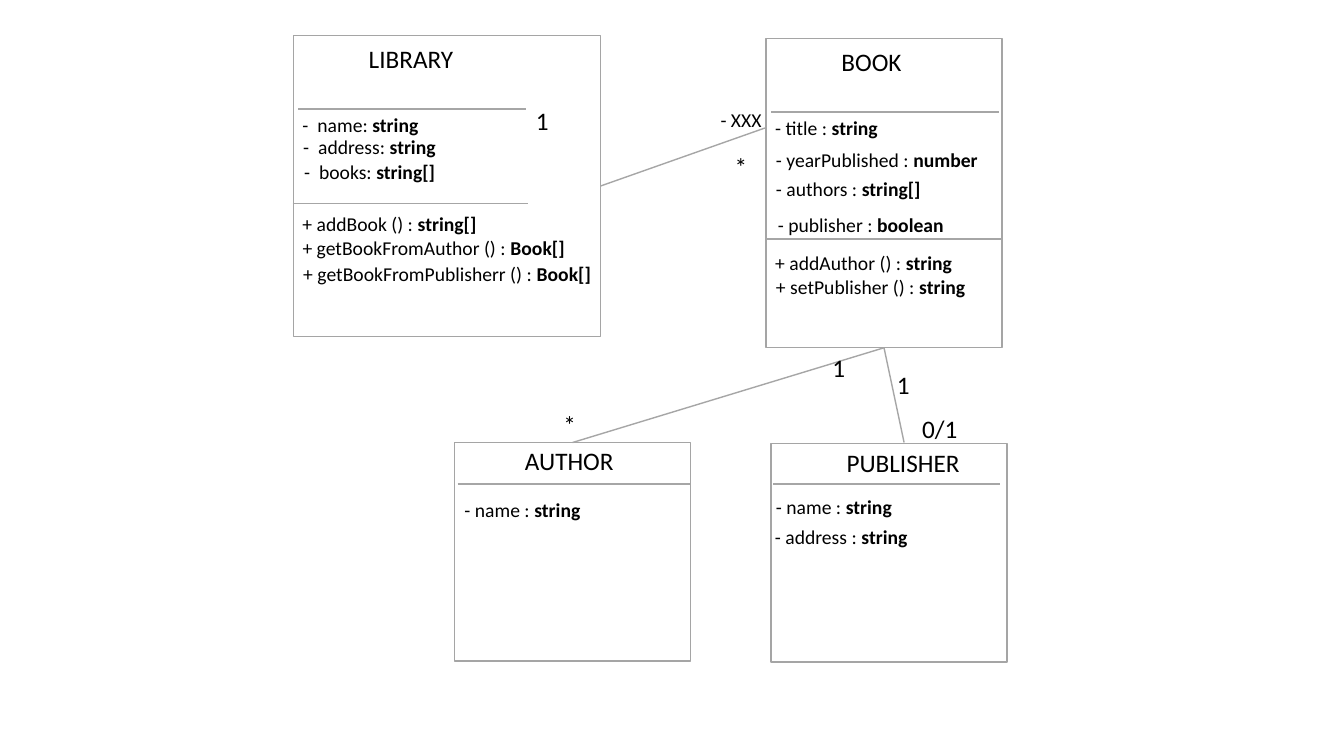
from dataclasses import dataclass

from lxml.etree import SubElement
from pptx import Presentation
from pptx.dml.color import RGBColor
from pptx.enum.shapes import MSO_CONNECTOR, MSO_SHAPE
from pptx.enum.text import MSO_AUTO_SIZE, PP_ALIGN
from pptx.oxml.ns import qn
from pptx.util import Pt

WHITE = RGBColor(0xFF, 0xFF, 0xFF)
BLACK = RGBColor(0, 0, 0)
BORDER = RGBColor(0xA5, 0xA5, 0xA5)
RULE = RGBColor(0xA6, 0xA6, 0xA6)
FONT = "Calibri"
TITLE_SIZE, MEMBER_SIZE = 18, 14
TOP, LEFT, BOTTOM, RIGHT = range(4)  # connection sites of a rectangle


@dataclass
class UmlClass:
    """One class; offsets of its parts count from the top left of its box."""
    box: tuple       # left, top, width, height
    title: tuple     # text, x, y, width
    dividers: list   # x, y, length
    members: list    # x, y, width, name, type
    wide_dash: bool = False  # wider gap after the dash of attributes


LIBRARY = UmlClass(
    (209.5, 25.2, 219.6, 215.3), ("LIBRARY", 46.8, 2.2, 75.6),
    [(3.6, 52.6, 162.7), (-0.5, 120.2, 168.5)],
    [(-0.5, 51.8, 97.9, "- name: ", "string"),
     (0, 67.7, 110.2, "- address: ", "string"),
     (0.7, 85.7, 108.7, "- books: ", "string[]"),
     (-0.5, 122.4, 139.7, "+ addBook () : ", "string[]"),
     (-0.5, 139.7, 203, "+ getBookFromAuthor () : ", "Book[]"),
     (0, 158.4, 221.8, "+ getBookFromPublisherr () : ", "Book[]")],
    wide_dash=True)
BOOK = UmlClass(
    (547.2, 27.4, 168.5, 221), ("BOOK", 46.8, 2.2, 57.6),
    [(3.6, 52.6, 162.7), (0, 143.3, 168.5)],
    [(-0.5, 51.8, 88.6, "- title : ", "string"),
     (0, 74.9, 159.8, "- yearPublished : ", "number"),
     (0, 95.8, 118.8, "- authors : ", "string[]"),
     (1.4, 121, 133.9, "- publisher : ", "boolean"),
     (-0.5, 148.3, 141.8, "+ addAuthor () : ", "string"),
     (0, 165.6, 151.2, "+ setPublisher () : ", "string")])
PUBLISHER = UmlClass(
    (550.8, 316.8, 168.5, 156.2), ("PUBLISHER", 46.8, -0.7, 95.8),
    [(1.4, 28.8, 162)],
    [(-3.6, 33.1, 97.9, "- name : ", "string"),
     (-4.3, 54.7, 110.2, "- address : ", "string")])
AUTHOR = UmlClass(
    (324.7, 316.1, 168.5, 156.2), ("AUTHOR", 43.2, -1.4, 78.5),
    [(2.2, 29.5, 166.3)],
    [(0, 36, 97.9, "- name : ", "string")])

# text, left, top, width, size
LABELS = [
    ("- XXX", 507.6, 73.4, 43.9, MEMBER_SIZE),
    ("*", 517.7, 104.4, 23.8, TITLE_SIZE),
    ("1", 375.8, 72, 23.8, TITLE_SIZE),
    ("*", 395.3, 288.7, 23.8, TITLE_SIZE),
    ("1", 587.5, 248.4, 23.8, TITLE_SIZE),
    ("1", 633.6, 260.6, 23.8, TITLE_SIZE),
    ("0/1", 651.6, 291.6, 40.3, TITLE_SIZE),
]


def add_text(page, left, top, width, size, runs):
    """Add one line of text; runs holds (text, bold, letter spacing)."""
    height = 28.8 if size == TITLE_SIZE else 24.5
    box = page.shapes.add_textbox(Pt(left), Pt(top), Pt(width), Pt(height))
    box.text_frame.word_wrap = False
    box.text_frame.auto_size = MSO_AUTO_SIZE.SHAPE_TO_FIT_TEXT
    para = box.text_frame.paragraphs[0]
    para.alignment = PP_ALIGN.LEFT
    for text, bold, spacing in runs:
        span = para.add_run()
        span.text = text
        span.font.name = FONT
        span.font.size = Pt(size)
        span.font.bold = bold
        span.font.color.rgb = BLACK
        if spacing:
            span.font._element.set("spc", str(round(spacing * 100)))


def add_line(page, x1, y1, x2, y2):
    line = page.shapes.add_connector(
        MSO_CONNECTOR.STRAIGHT, Pt(x1), Pt(y1), Pt(x2), Pt(y2))
    line.line.color.rgb = RULE
    line.line.width = Pt(1)
    SubElement(line._element.spPr, qn("a:effectLst"))
    return line


def member_runs(name, kind, wide_dash):
    if wide_dash and name.startswith("- "):
        start = [("- ", False, 1.6), (name[2:], False, 0)]
    else:
        start = [(name, False, 0)]
    return start + [(kind, True, 0)]


def add_class(page, uml):
    left, top, width, height = uml.box
    frame = page.shapes.add_shape(
        MSO_SHAPE.RECTANGLE, Pt(left), Pt(top), Pt(width), Pt(height))
    frame.shadow.inherit = False
    frame.fill.solid()
    frame.fill.fore_color.rgb = WHITE
    frame.line.color.rgb = BORDER
    frame.line.width = Pt(1)
    title, x, y, title_width = uml.title
    add_text(page, left + x, top + y, title_width, TITLE_SIZE,
             [(title, False, 0)])
    for x, y, length in uml.dividers:
        add_line(page, left + x, top + y, left + x + length, top + y)
    for x, y, member_width, name, kind in uml.members:
        add_text(page, left + x, top + y, member_width, MEMBER_SIZE,
                 member_runs(name, kind, uml.wide_dash))
    return frame


def add_associations(page, library, book, author):
    holds = add_line(page, 429.1, 132.9, 546.5, 91.4)
    holds.begin_connect(library, RIGHT)
    written_by = add_line(page, 409, 316.1, 631.4, 248.4)
    written_by.begin_connect(author, TOP)
    written_by.end_connect(book, BOTTOM)
    published_by = add_line(page, 645.8, 316.1, 631.4, 248.4)
    published_by.end_connect(book, BOTTOM)
    for text, left, top, width, size in LABELS:
        add_text(page, left, top, width, size, [(text, False, 0)])


def main():
    deck = Presentation()
    deck.slide_width, deck.slide_height = Pt(960), Pt(540)
    page = deck.slides.add_slide(deck.slide_layouts[6])
    library, book, _, author = [
        add_class(page, uml) for uml in (LIBRARY, BOOK, PUBLISHER, AUTHOR)]
    add_associations(page, library, book, author)
    deck.save("out.pptx")


if __name__ == "__main__":
    main()
